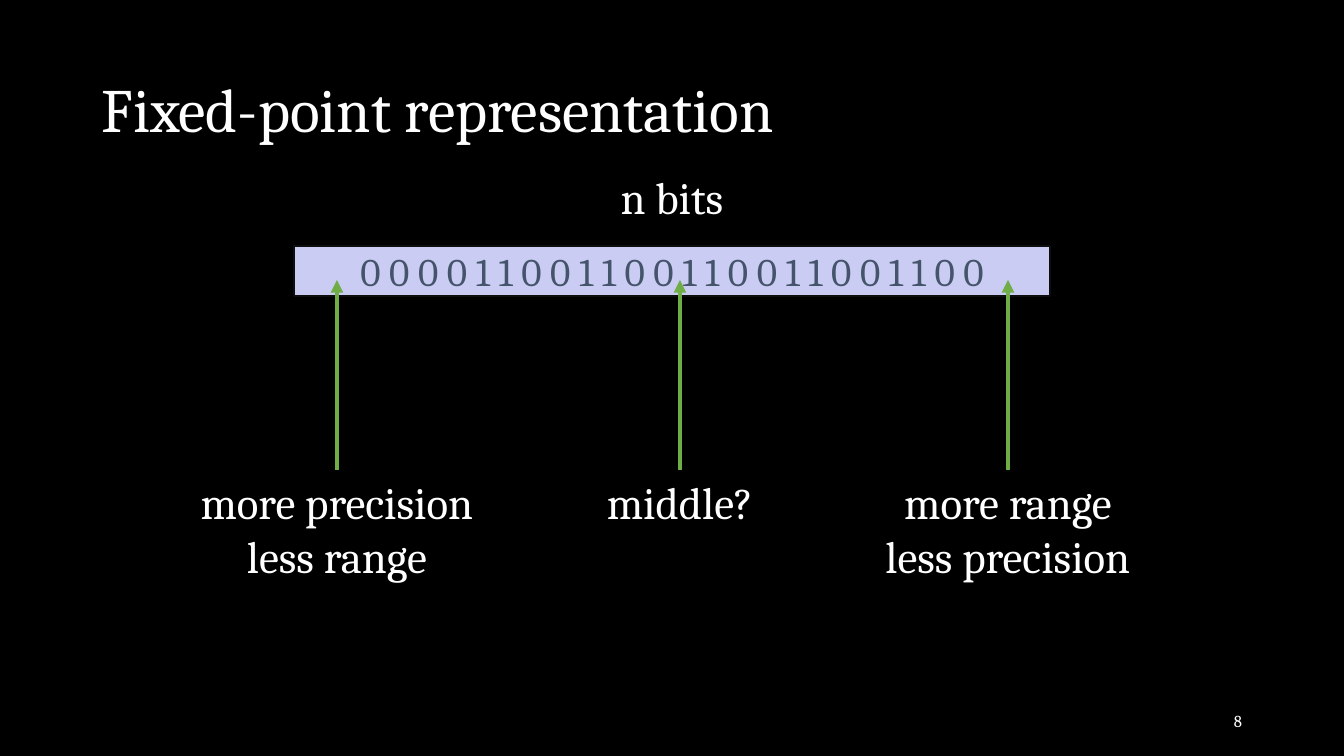
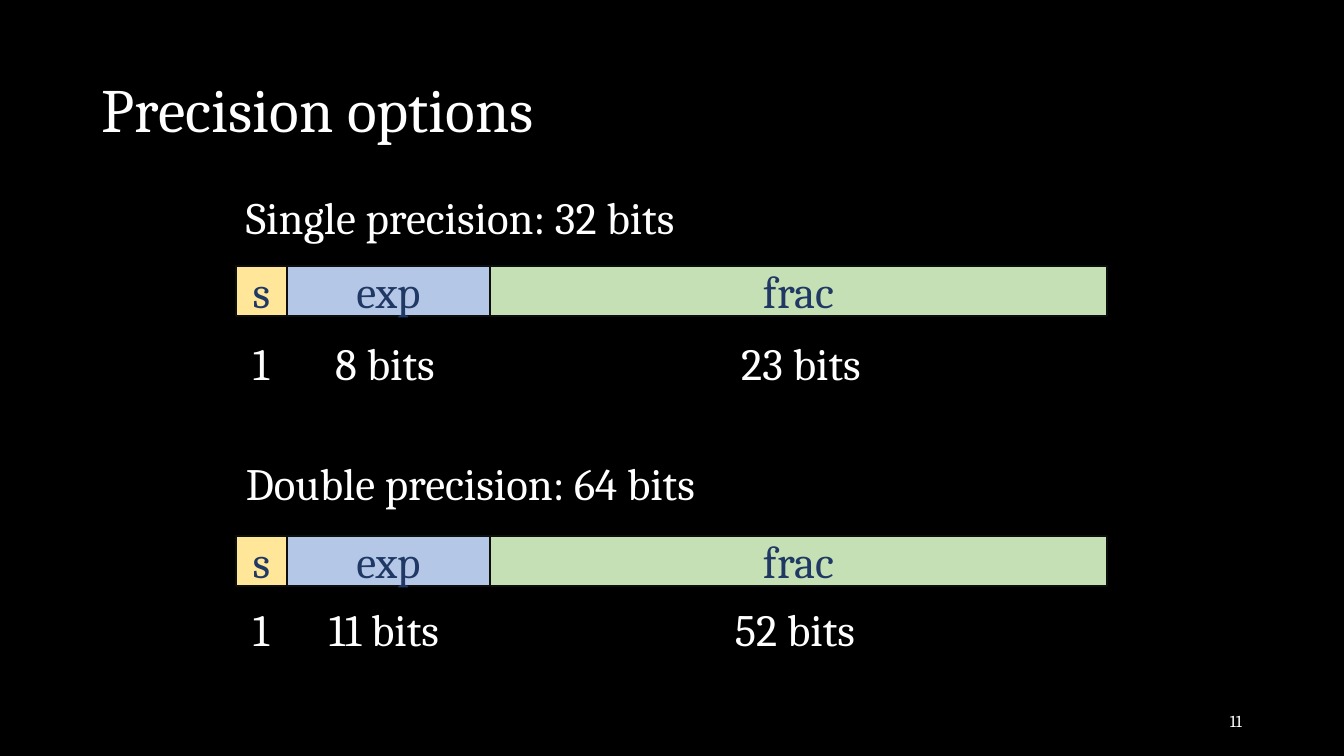
from lxml import etree
from pptx import Presentation
from pptx.dml.color import RGBColor
from pptx.enum.shapes import MSO_CONNECTOR, MSO_SHAPE
from pptx.enum.text import MSO_ANCHOR, PP_ALIGN
from pptx.oxml.ns import qn
from pptx.util import Emu, Pt

LEFT, CENTER, RIGHT = PP_ALIGN.LEFT, PP_ALIGN.CENTER, PP_ALIGN.RIGHT
TOP, MIDDLE = MSO_ANCHOR.TOP, MSO_ANCHOR.MIDDLE
RECTANGLE = MSO_SHAPE.RECTANGLE
STRAIGHT = MSO_CONNECTOR.STRAIGHT

EMU_PER_INCH = 914400
PX_PER_INCH = 100.8
SLIDE_WIDTH, SLIDE_HEIGHT = 1344, 756

FONT = "Cambria"
BODY_SIZE = 32
COLORS = {
    "background": "000000",
    "text": "FFFFFF",
    "outline": "0D0D0D",
    "arrow": "70AD47",
    "bits": "CBCCF3",
    "bits text": "44546A",
    "sign": "FFE699",
    "exponent": "B4C7E7",
    "fraction": "C5E0B4",
    "field text": "203864",
}


def px(length):
    return Emu(round(length * EMU_PER_INCH / PX_PER_INCH))


def rgb(name):
    return RGBColor.from_string(COLORS[name])


class Deck:
    """Holds the presentation, its style and the slide being drawn."""

    def __init__(self):
        self.presentation = Presentation()
        self.presentation.slide_width = px(SLIDE_WIDTH)
        self.presentation.slide_height = px(SLIDE_HEIGHT)
        self.slide = None

    def add_slide(self, title, number):
        blank_layout = self.presentation.slide_layouts[6]
        self.slide = self.presentation.slides.add_slide(blank_layout)
        fill = self.slide.background.fill
        fill.solid()
        fill.fore_color.rgb = rgb("background")
        title_box = self.text(title, 92, 40, 1159, 146, size=44, anchor=MIDDLE)
        title_box.text_frame.paragraphs[0].line_spacing = 0.9
        self.text(str(number), 950, 701, 302, 40, size=12, align=RIGHT, anchor=MIDDLE)

    def set_text(self, shape, text, size, color, align, anchor):
        frame = shape.text_frame
        frame.text = text
        frame.word_wrap = True
        frame.vertical_anchor = anchor
        for paragraph in frame.paragraphs:
            paragraph.alignment = align
            for run in paragraph.runs:
                run.font.name = FONT
                run.font.size = Pt(size)
                run.font.color.rgb = rgb(color)

    def text(self, text, left, top, width, height=65, size=BODY_SIZE,
             align=LEFT, anchor=TOP):
        box = self.slide.shapes.add_textbox(px(left), px(top), px(width), px(height))
        self.set_text(box, text, size, "text", align, anchor)
        return box

    def label(self, text, center, top):
        """Adds text centred on a horizontal position."""
        width = 310
        height = 65 + 54 * text.count("\n")
        self.text(text, center - width // 2, top, width, height, align=CENTER)

    def bar(self, text, left, top, width, fill, color, size=BODY_SIZE):
        shape = self.slide.shapes.add_shape(
            RECTANGLE, px(left), px(top), px(width), px(50))
        shape.shadow.inherit = False
        shape.fill.solid()
        shape.fill.fore_color.rgb = rgb(fill)
        shape.line.color.rgb = rgb("outline")
        shape.line.width = Pt(1)
        self.set_text(shape, text, size, color, CENTER, MIDDLE)

    def arrow_up(self, x, bottom, top):
        connector = self.slide.shapes.add_connector(
            STRAIGHT, px(x), px(bottom), px(x), px(top))
        connector.line.color.rgb = rgb("arrow")
        connector.line.width = Pt(3)
        properties = connector._element.spPr
        line = properties.find(qn("a:ln"))
        etree.SubElement(line, qn("a:tailEnd"), type="triangle")
        etree.SubElement(properties, qn("a:effectLst"))


def add_fixed_point_slide(deck):
    deck.add_slide("Fixed-point representation", 8)
    deck.label("n bits", 672, 165)
    bits = " ".join("0000" + "1100" * 5)
    deck.bar(bits, 294, 246, 756, "bits", "bits text", size=28)

    point_choices = [
        (337, "more precision\nless range"),
        (680, "middle?"),
        (1008, "more range\nless precision"),
    ]
    for center, text in point_choices:
        deck.arrow_up(center, 470, 280)
        deck.label(text, center, 470)


def add_precision_slide(deck):
    deck.add_slide("Precision options", 11)
    bar_left = 236
    fields = [
        ("s", 51, "sign"),
        ("exp", 203, "exponent"),
        ("frac", 617, "fraction"),
    ]
    # Heading, its top, bar top, then each bit count with its centre.
    formats = [
        ("Single precision: 32 bits", 185, 266,
         [("1", 261), ("8 bits", 385), ("23 bits", 801)]),
        ("Double precision: 64 bits", 451, 536,
         [("1", 261), ("11 bits", 384), ("52 bits", 795)]),
    ]
    for heading, top, bar_top, counts in formats:
        deck.text(heading, bar_left, top, 520)
        left = bar_left
        for name, width, fill in fields:
            deck.bar(name, left, bar_top, width, fill, "field text")
            left += width
        for count, center in counts:
            deck.label(count, center, top + 146)


def main():
    deck = Deck()
    add_fixed_point_slide(deck)
    add_precision_slide(deck)
    deck.presentation.save("out.pptx")


if __name__ == "__main__":
    main()
